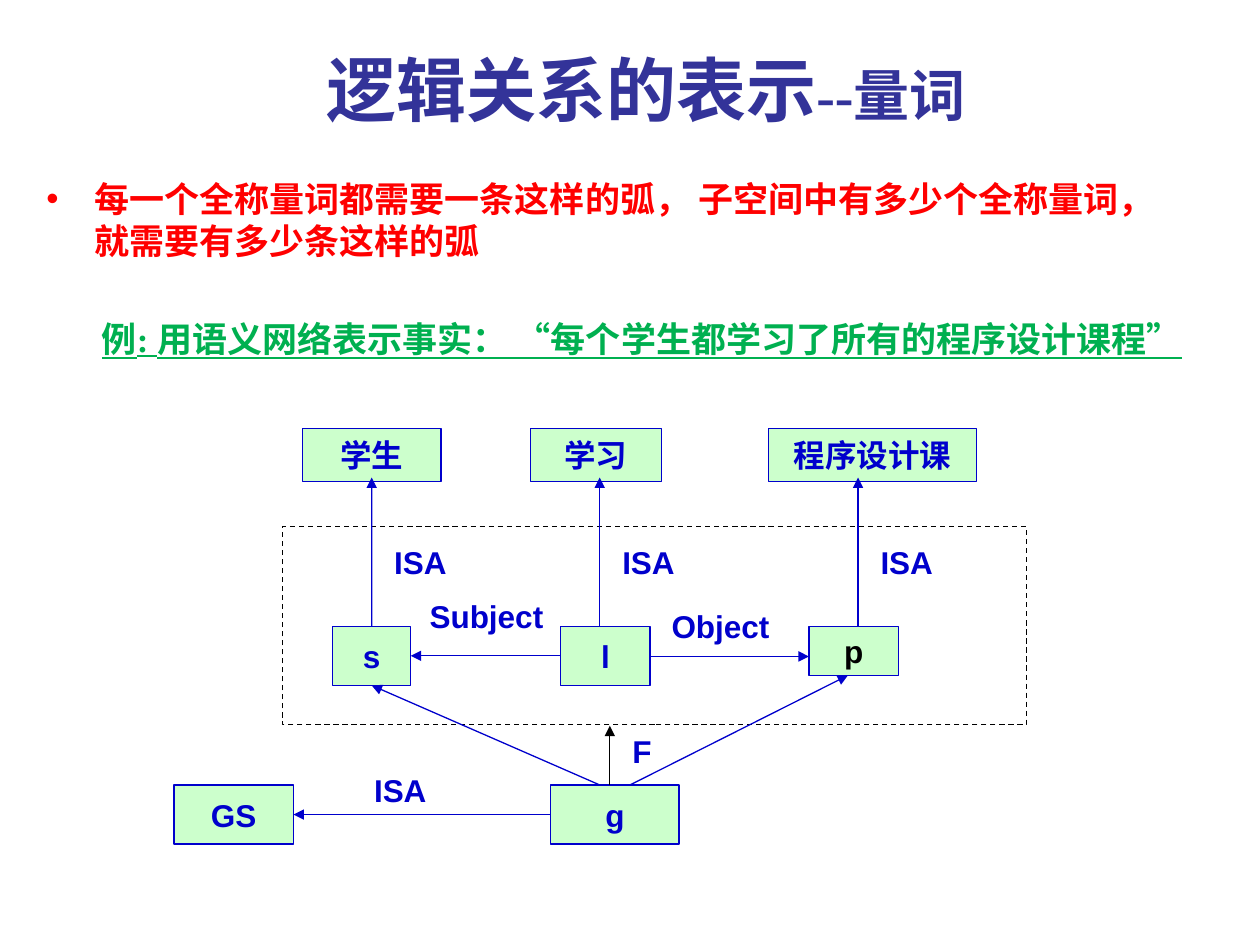
from pptx import Presentation
from pptx.dml.color import RGBColor as RGB
from pptx.enum.dml import MSO_LINE_DASH_STYLE as DASH
from pptx.enum.shapes import MSO_CONNECTOR as CONN, MSO_SHAPE as SHAPE
from pptx.enum.text import MSO_ANCHOR as ANCHOR, PP_ALIGN as ALIGN
from pptx.oxml.ns import qn
from pptx.util import Inches, Pt
from lxml.etree import SubElement

COLORS = {
    "title": "333399", "rule": "FF0000", "example": "00B050", "blue": "0000CC",
    "node": "CCFFCC", "black": "000000", "white": "FFFFFF",
}
TITLE = {"name": "Times New Roman", "size": Pt(40), "bold": True}
SUBTITLE = {**TITLE, "size": Pt(32)}
BODY = {**TITLE, "size": Pt(20)}
EXAMPLE = {**BODY, "underline": True}
LABEL = {"name": "Arial", "size": Pt(18), "bold": True}
INSETS = ("margin_left", "margin_top", "margin_right", "margin_bottom")

NODES = {
    "学生": (1.02, 0, 1.1, 0.42, "blue"),
    "学习": (2.83, 0, 1.04, 0.42, "blue"),
    "程序设计课": (4.72, 0, 1.65, 0.42, "blue"),
    "g": (2.99, 2.83, 1.02, 0.47, "blue"),
    "GS": (0, 2.83, 0.95, 0.47, "blue"),
    "s": (1.26, 1.57, 0.62, 0.47, "blue"),
    "l": (3.07, 1.57, 0.71, 0.47, "blue"),
    "p": (5.04, 1.57, 0.71, 0.39, "black"),
}
ARROWS = [
    ((1.57, 1.57), (1.57, 0.39), "blue", ("s", 0), None),
    ((3.38, 1.57), (3.38, 0.39), "blue", None, None),
    ((5.43, 1.57), (5.43, 0.39), "blue", None, None),
    ((2.99, 3.07), (0.95, 3.07), "blue", ("g", 1), ("GS", 3)),
    ((3.38, 2.83), (1.57, 2.04), "blue", None, ("s", 2)),
    ((3.46, 2.83), (3.46, 2.36), "black", None, None),
    ((3.62, 2.83), (5.35, 1.96), "blue", None, None),
    ((3.07, 1.81), (1.88, 1.81), "blue", ("l", 1), ("s", 3)),
    ((3.78, 1.81), (5.04, 1.81), "blue", None, None),
]
WIDE, TIGHT, NARROW = (0.1, 0.05), (0.06, 0.01), (0.02, 0.01)
LABELS = [
    ("ISA", 1.65, 0.86, 0.87, 0.4, WIDE),
    ("ISA", 3.46, 0.86, 0.71, 0.4, WIDE),
    ("ISA", 5.51, 0.86, 0.63, 0.4, WIDE),
    ("Subject", 1.97, 1.33, 1.06, 0.32, TIGHT),
    ("Object", 3.93, 1.41, 0.87, 0.32, NARROW),
    ("ISA", 1.49, 2.67, 0.71, 0.4, WIDE),
    ("F", 3.54, 2.36, 0.39, 0.4, WIDE),
]


def color(key):
    return RGB.from_string(COLORS[key])


def add_run(p, text, fmt, key):
    r = p.add_run()
    r.text = text
    for name, value in fmt.items():
        setattr(r.font, name, value)
    r.font.color.rgb = color(key)


def add_text(s, box, insets=WIDE):
    tf = s.shapes.add_textbox(*map(Inches, box)).text_frame
    tf.word_wrap = True
    for name, value in zip(INSETS, insets * 2):
        setattr(tf, name, Inches(value))
    return tf


def add_rect(s, box, fill, line):
    sp = s.shapes.add_shape(SHAPE.RECTANGLE, *map(Inches, box))
    sp.shadow.inherit = False
    sp.fill.solid()
    sp.fill.fore_color.rgb = color(fill)
    sp.line.color.rgb = color(line)
    sp.line.width = Pt(0.75)
    return sp


def add_node(s, box, text, key):
    sp = add_rect(s, box, "node", "blue")
    tf = sp.text_frame
    tf.word_wrap = False
    tf.vertical_anchor = ANCHOR.MIDDLE
    p = tf.paragraphs[0]
    p.alignment = ALIGN.CENTER
    add_run(p, text, LABEL, key)
    return sp


def add_arrow(s, start, end, key):
    cn = s.shapes.add_connector(CONN.STRAIGHT, *map(Inches, start + end))
    cn.line.color.rgb = color(key)
    cn.line.width = Pt(0.75)
    SubElement(cn.line._get_or_add_ln(), qn("a:tailEnd"), type="triangle")
    SubElement(cn._element.spPr, qn("a:effectLst"))
    return cn


def add_title(s, box):
    tf = add_text(s, box)
    tf.vertical_anchor = ANCHOR.MIDDLE
    p = tf.paragraphs[0]
    p.alignment = ALIGN.CENTER
    add_run(p, "逻辑关系的表示", TITLE, "title")
    add_run(p, "--量词", SUBTITLE, "title")


def add_body(s, box):
    tf = add_text(s, box)
    rule, example = tf.paragraphs[0], tf.add_paragraph()
    for p, left, indent in ((rule, 0.38, -0.38), (example, 0.44, 0)):
        pPr = p._p.get_or_add_pPr()
        pPr.set("marL", str(Inches(left)))
        pPr.set("indent", str(Inches(indent)))
    SubElement(rule._p.pPr, qn("a:buFont"), typeface="Arial")
    SubElement(rule._p.pPr, qn("a:buChar"), char="•")
    rule.line_spacing = example.line_spacing = Pt(24)
    example.space_before = Pt(32)
    add_run(rule, "每一个全称量词都需要一条这样的弧， 子空间中有多少个全称量词，"
                  "就需要有多少条这样的弧", BODY, "rule")
    add_run(example, "例: 用语义网络表示事实： “每个学生都学习了所有的程序设计课程”",
            EXAMPLE, "example")


def add_network(s, left, top):
    def place(x, y, *size):
        return (left + x, top + y, *size)

    space = add_rect(s, place(0.86, 0.78, 5.91, 1.57), "white", "black")
    space.line.dash_style = DASH.DASH
    nodes = {text: add_node(s, place(*box), text, key)
             for text, (*box, key) in NODES.items()}
    for start, end, key, source, target in ARROWS:
        cn = add_arrow(s, place(*start), place(*end), key)
        if source:
            cn.begin_connect(nodes[source[0]], source[1])
        if target:
            cn.end_connect(nodes[target[0]], target[1])
    for text, *box, insets in LABELS:
        tf = add_text(s, place(*box), insets)
        add_run(tf.paragraphs[0], text, LABEL, "blue")


def main():
    prs = Presentation()
    prs.slide_width, prs.slide_height = Inches(10), Inches(7.5)
    s = prs.slides.add_slide(prs.slide_layouts[6])
    add_body(s, (0.27, 1.36, 9.23, 2))
    add_network(s, 1.38, 3.4)
    add_title(s, (0.63, 0.21, 9, 0.99))
    prs.save("out.pptx")


if __name__ == "__main__":
    main()
